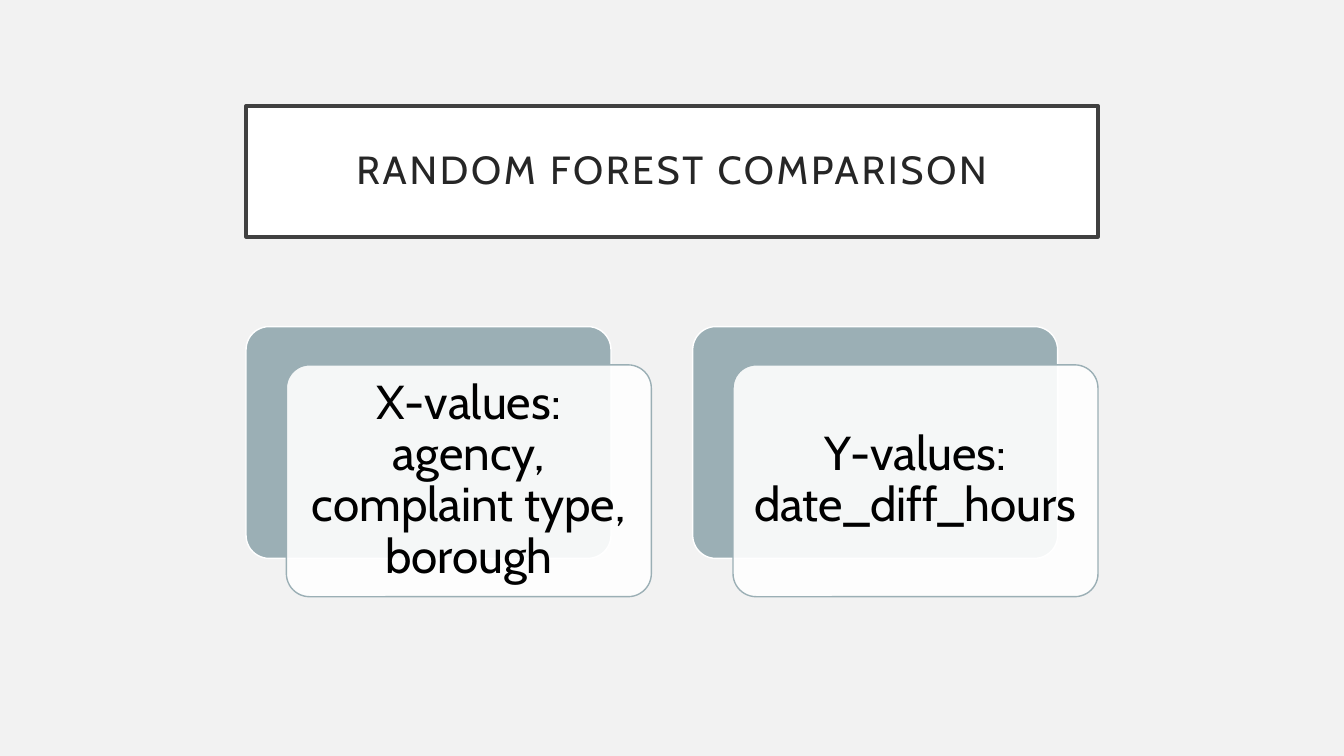
"""Build the random forest comparison slide."""
from pptx import Presentation
from pptx.dml.color import RGBColor
from pptx.enum.shapes import MSO_SHAPE as Shape
from pptx.enum.text import MSO_ANCHOR as Anchor, MSO_AUTO_SIZE as Fit, PP_ALIGN as Align
from pptx.oxml.ns import qn
from pptx.util import Inches, Pt
from lxml import etree


def paint(shape, fill, line, width):
    shape.fill.solid()
    shape.fill.fore_color.rgb = RGBColor.from_string(fill)
    shape.line.color.rgb = RGBColor.from_string(line)
    shape.line.width = Pt(width)
    shape.shadow.inherit = False


def write(shape, text, size, color, inset):
    frame = shape.text_frame
    frame.text = text
    frame.word_wrap = True
    frame.auto_size = Fit.NONE
    frame.vertical_anchor = Anchor.MIDDLE
    frame.margin_left = frame.margin_right = Inches(inset)
    frame.margin_top = frame.margin_bottom = Inches(inset)
    para = frame.paragraphs[0]
    para.alignment = Align.CENTER
    para.line_spacing = 0.9
    run = para.runs[0]
    run.font.name = "Cabin"
    run.font.size = Pt(size)
    run.font.color.rgb = RGBColor.from_string(color)
    return run


deck = Presentation()
deck.slide_width, deck.slide_height = Inches(13.33), Inches(7.5)
slide = deck.slides.add_slide(deck.slide_layouts[5])
slide.background.fill.solid()
slide.background.fill.fore_color.rgb = RGBColor.from_string("F2F2F2")

title = slide.shapes.title
title.left, title.top = Inches(2.44), Inches(1.05)
title.width, title.height = Inches(8.45), Inches(1.3)
paint(title, "FFFFFF", "404040", 2.5)
run = write(title, "RANDOM FOREST COMPARISON", 28, "262626", 0.2)
run._r.get_or_add_rPr().set("spc", "200")

cards = ["X-values: agency, complaint type, borough", "Y-values: date_diff_hours"]
for i, text in enumerate(cards):
    left = 2.44 + i * 4.43
    group = slide.shapes.add_group_shape()
    back, front = [
        group.shapes.add_shape(Shape.ROUNDED_RECTANGLE, Inches(x), Inches(y), Inches(3.62), Inches(2.3))
        for x, y in [(left, 3.24), (left + 0.4, 3.62)]
    ]
    back.adjustments[0] = front.adjustments[0] = 0.1
    paint(back, "9BAFB5", "FFFFFF", 1)
    paint(front, "FFFFFF", "9BAFB5", 1)
    tint = front.fill._xPr.find(qn("a:solidFill"))[0]
    etree.SubElement(tint, qn("a:alpha"), val="90000")
    write(front, text, 34, "000000", 0.13)

deck.save("out.pptx")
